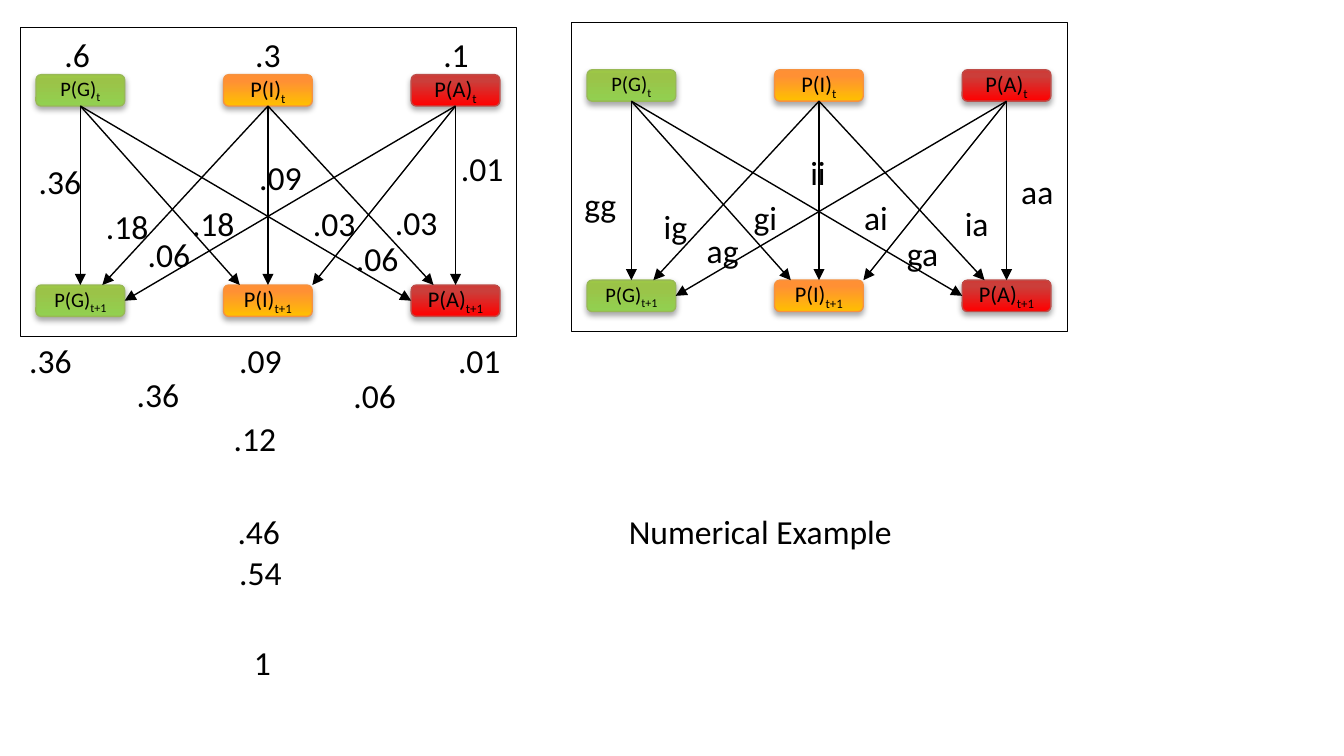
"""Build a slide with two state transition diagrams and a numerical example."""
from copy import deepcopy
from lxml import etree
from pptx import Presentation
from pptx.dml.color import RGBColor
from pptx.enum.shapes import MSO_CONNECTOR, MSO_SHAPE
from pptx.enum.text import MSO_ANCHOR, MSO_AUTO_SIZE, PP_ALIGN
from pptx.oxml import parse_xml
from pptx.oxml.ns import nsdecls, qn
from pptx.util import Pt

RECT, ROUND = MSO_SHAPE.RECTANGLE, MSO_SHAPE.ROUNDED_RECTANGLE
LINE = MSO_CONNECTOR.STRAIGHT
CENTER, MIDDLE = PP_ALIGN.CENTER, MSO_ANCHOR.MIDDLE
GROW = MSO_AUTO_SIZE.SHAPE_TO_FIT_TEXT
TOP, LEFT, BOTTOM, RIGHT = range(4)
BOX_W, BOX_H, STEP = 47.5, 16.8, 100.5
SHADOW = (
    f'<a:outerShdw {nsdecls("a")} blurRad="40000" dist="23000" dir="5400000" rotWithShape="0">'
    '<a:srgbClr val="000000"><a:alpha val="35000"/></a:srgbClr></a:outerShdw>'
)


def color(code):
    return RGBColor.from_string(code)


def label(shapes, text, x, y, width=None):
    fit = 14.6 + sum(4.6 if c in ".i" else 9.2 for c in text)
    box = shapes.add_textbox(Pt(x), Pt(y), Pt(width or fit), Pt(29))
    frame = box.text_frame
    frame.text = text
    frame.word_wrap = width is not None
    frame.auto_size = GROW
    font = frame.paragraphs[0].runs[0].font
    font.name, font.size = "Calibri", Pt(18)
    font.color.rgb = color("000000")


states = [
    ("P(G)", 11, ("92D050", "9BC348", "9DC746"), "98B955"),
    ("P(I)", 12, ("FFC000", "FF9034", "FF9136"), "F69240"),
    ("P(A)", 12, ("FF0000", "CB3E3A", "CE3B37"), "BF4C48"),
]
arrows = [
    (0, 0, TOP, 0), (0, 1, None, -15.1), (0, 2, LEFT, 0),
    (1, 0, None, 11.8), (1, 1, TOP, 0), (1, 2, None, -11.8),
    (2, 0, RIGHT, 0), (2, 1, None, 23.8), (2, 2, TOP, 0),
]
panels = [
    (10.8, 14.6, [
        (".36", 13.7, 82.8), (".18", 95.8, 105.1), (".06", 183.6, 123.8),
        (".18", 49.7, 106.6), (".03", 204.5, 104.4), (".06", 72, 121.7),
        (".03", 160.6, 105.1), (".01", 239.8, 75.6), (".09", 131.8, 80.6),
    ]),
    (306, 12, [
        ("gg", 306, 95), ("gi", 396.7, 102.2), ("ga", 478.8, 121),
        ("ig", 348.5, 106.6), ("ia", 509.8, 105.1), ("ag", 371.5, 119.5),
        ("ai", 455.8, 102.2), ("aa", 540, 87.8), ("ii", 427, 77.8),
    ]),
]
sums = [
    (".6", 27.4, 14.4), (".3", 129.6, 14.4), (".1", 230.4, 14.4),
    (".36", 8.6, 178.6), (".09", 121, 178.6), (".01", 238.3, 178.6),
    (".36", 66.2, 196.6), (".06", 182.2, 197.3), (".12", 118.1, 220.3),
    (".46", 120.2, 270), (".54", 121, 292.3), ("1", 128.9, 340.6),
]

deck = Presentation()
deck.slide_width, deck.slide_height = Pt(720), Pt(405)
slide = deck.slides.add_slide(deck.slide_layouts[6])

for left, top, labels in panels:
    shapes = slide.shapes.add_group_shape().shapes
    panel = shapes.add_shape(RECT, Pt(left), Pt(top), Pt(265.7), Pt(165.6))
    panel.shadow.inherit = False
    panel.fill.solid()
    panel.fill.fore_color.rgb = color("FFFFFF")
    panel.line.color.rgb = color("000000")
    panel.line.width = Pt(0.5)

    rows = []
    for time, y in (("t", top + 25.4), ("t+1", top + 138.1)):
        row = []
        for i, (name, size, tones, edge) in enumerate(states):
            x = left + 8.5 + i * STEP
            box = shapes.add_shape(ROUND, Pt(x), Pt(y), Pt(BOX_W), Pt(BOX_H))
            box.shadow.inherit = False
            props = box.element.spPr
            props.find(qn("a:effectLst")).append(parse_xml(SHADOW))
            box.fill.gradient()
            box.fill.gradient_angle = 90
            stops = props.find(qn("a:gradFill")).find(qn("a:gsLst"))
            stops.append(deepcopy(stops[-1]))
            for stop, tone, place in zip(box.fill.gradient_stops, tones, (0, 0.8, 1)):
                stop.color.rgb = color(tone)
                stop.position = place
            box.line.color.rgb = color(edge)
            box.line.width = Pt(0.75)
            frame = box.text_frame
            frame.vertical_anchor = MIDDLE
            frame.margin_left = frame.margin_right = 0
            para = frame.paragraphs[0]
            para.alignment = CENTER
            for text in (name, time):
                run = para.add_run()
                run.text = text
                run.font.name, run.font.size = "Calibri", Pt(size)
                run.font.color.rgb = color("000000")
            run.font._element.set("baseline", "-25000")
            row.append(box)
        rows.append(row)

    for start, end, site, shift in arrows:
        goal = rows[1][end]
        x = goal.left + goal.width // 2 + Pt(shift)
        arrow = shapes.add_connector(LINE, x, goal.top, x, goal.top)
        arrow.begin_connect(rows[0][start], BOTTOM)
        if site is not None:
            arrow.end_connect(goal, site)
        arrow.line.color.rgb = color("000000")
        arrow.line.width = Pt(0.75)
        props = arrow.element.spPr
        etree.SubElement(props.find(qn("a:ln")), qn("a:tailEnd"), type="triangle")
        etree.SubElement(props, qn("a:effectLst"))

    for text, x, y in labels:
        label(shapes, text, x, y)

for text, x, y in sums:
    label(slide.shapes, text, x, y)
label(slide.shapes, "Numerical Example", 329.8, 270, 252)

deck.save("out.pptx")
